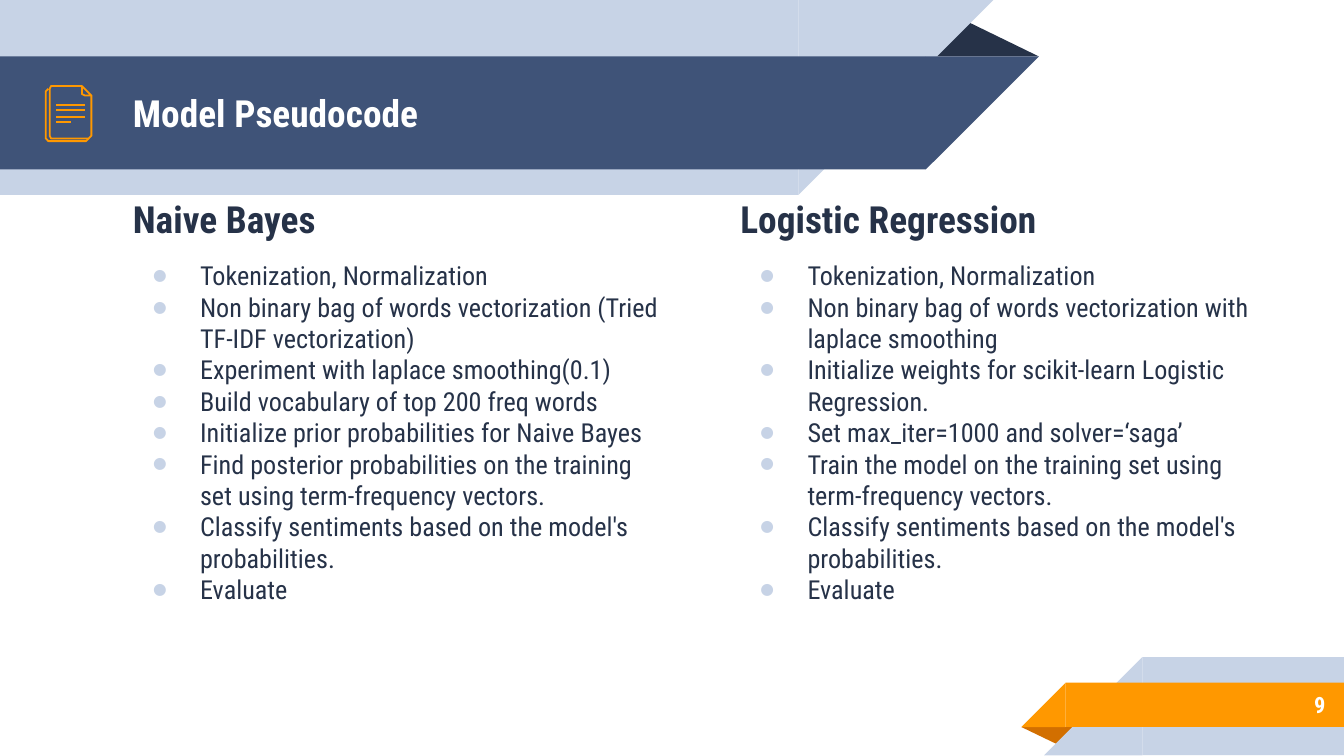
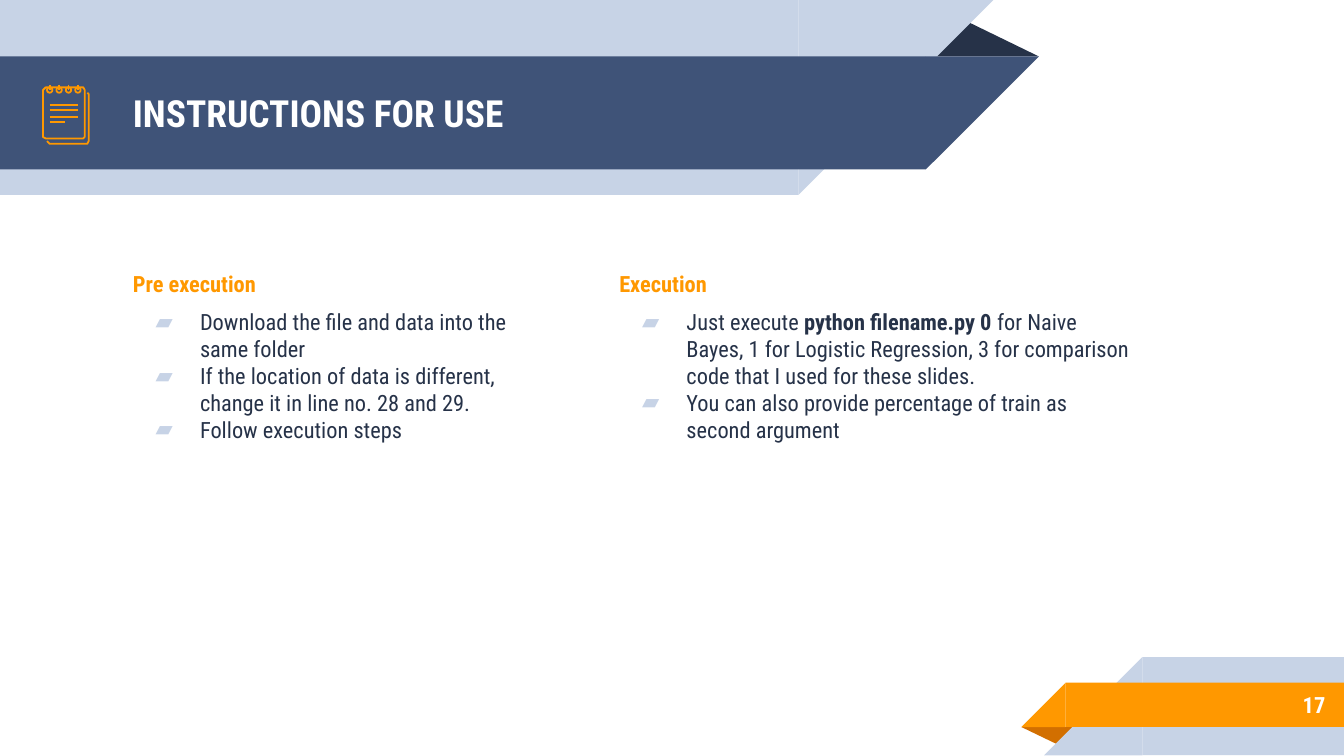
"""Build the pseudocode and instructions slides."""
import pptx
import pptx.dml.color
import pptx.enum.shapes
import pptx.enum.text
import pptx.oxml.ns
import pptx.util
import lxml.etree

Inches = pptx.util.Inches
RGBColor = pptx.dml.color.RGBColor
SHAPE = pptx.enum.shapes.MSO_SHAPE
ANCHOR = pptx.enum.text.MSO_ANCHOR

NAVY = RGBColor(0x26, 0x32, 0x48)
BLUE = RGBColor(0x3F, 0x53, 0x78)
PALE = RGBColor(0xC7, 0xD3, 0xE6)
ORANGE = RGBColor(0xFF, 0x98, 0x00)
RUST = RGBColor(0xD2, 0x6F, 0x00)
WHITE = RGBColor(0xFF, 0xFF, 0xFF)
FONT = "Roboto Condensed"

BANDS = [
    (SHAPE.ISOSCELES_TRIANGLE, (6.88, 0.14, 0.85, 0.28), NAVY, 0, False),
    (SHAPE.RECTANGLE, (0, 0, 5.94, 1.45), PALE, 0, False),
    (SHAPE.RIGHT_TRIANGLE, (5.94, 0, 1.45, 1.45), PALE, 180, True),
    (SHAPE.RECTANGLE, (0, 0.42, 6.89, 0.84), BLUE, 0, False),
    (SHAPE.RIGHT_TRIANGLE, (6.89, 0.42, 0.84, 0.84), BLUE, 180, True),
    (SHAPE.ISOSCELES_TRIANGLE, (7.6, 5.41, 0.43, 0.14), RUST, 180, False),
    (SHAPE.RECTANGLE, (8.5, 4.89, 1.5, 0.73), PALE, 0, False),
    (SHAPE.RIGHT_TRIANGLE, (7.77, 4.89, 0.73, 0.73), PALE, 0, True),
    (SHAPE.RECTANGLE, (7.93, 5.08, 2.07, 0.33), ORANGE, 0, False),
    (SHAPE.RIGHT_TRIANGLE, (7.6, 5.08, 0.33, 0.33), ORANGE, 0, True),
]

SLIDES = [
    {
        "title": "Model Pseudocode",
        "number": "9",
        "body": {"top_margin": 0, "heading_size": 20, "heading_color": NAVY, "size": 14,
                 "gap": 10, "bullet": "●", "bullet_scale": 60, "indent": 0.35},
        "columns": [
            ((0.89, 1.46, 4.18, 3.18), "Naive Bayes", [
                "Tokenization, Normalization",
                "Non binary bag of words vectorization (Tried TF-IDF vectorization)",
                "Experiment with laplace smoothing(0.1)",
                "Build vocabulary of top 200 freq words",
                "Initialize prior probabilities for Naive Bayes",
                "Find posterior probabilities on the training set using term-frequency vectors.",
                "Classify sentiments based on the model's probabilities.",
                "Evaluate",
            ]),
            ((5.41, 1.46, 4.15, 2.84), "Logistic Regression", [
                "Tokenization, Normalization",
                "Non binary bag of words vectorization with laplace smoothing",
                "Initialize weights for scikit-learn Logistic Regression.",
                "Set max_iter=1000 and solver=‘saga’",
                "Train the model on the training set using term-frequency vectors.",
                "Classify sentiments based on the model's probabilities.",
                "Evaluate",
            ]),
        ],
        "sheets": [
            ([(0.66, 1.03), (0.64, 1.05), (0.36, 1.05), (0.34, 1.03), (0.34, 0.68),
              (0.36, 0.66)], False),
            ([(0.68, 0.71), (0.68, 1.01), (0.66, 1.03), (0.38, 1.03), (0.37, 1.01),
              (0.37, 0.66), (0.38, 0.64), (0.61, 0.64)], False),
            ([(0.61, 0.64), (0.68, 0.71), (0.63, 0.71), (0.61, 0.7)], True),
        ],
        "writing_left": 0.42,
        "rings": [],
    },
    {
        "title": "INSTRUCTIONS FOR USE",
        "number": "17",
        "body": {"top_margin": 0.1, "heading_size": 12, "heading_color": ORANGE, "size": 12,
                 "gap": 6, "bullet": "▰", "bullet_scale": 100, "indent": 0.33},
        "columns": [
            ((0.89, 1.91, 3.37, 1.92), "Pre execution", [
                "Download the file and data into the same folder",
                "If the location of data is different, change it in line no. 28 and 29.",
                "Follow execution steps",
            ]),
            ((4.51, 1.91, 4, 1.92), "Execution", [
                "Just execute **python filename.py 0** for Naive Bayes, 1 for Logistic "
                "Regression, 3 for comparison code that I used for these slides.",
                "You can also provide percentage of train as second argument",
            ]),
        ],
        "sheets": [
            ([(0.35, 1.05), (0.37, 1.07), (0.65, 1.07), (0.66, 1.05), (0.66, 0.7),
              (0.65, 0.69)], False),
            ([(0.34, 0.65), (0.62, 0.65), (0.63, 0.67), (0.63, 1.02), (0.62, 1.03),
              (0.34, 1.03), (0.32, 1.02), (0.32, 0.67)], True),
        ],
        "writing_left": 0.37,
        "rings": [0.37 + 0.07 * index for index in range(4)],
    },
]


def add_text_frame(slide, box, top_margin=0.1, anchor=ANCHOR.TOP):
    frame = slide.shapes.add_textbox(*map(Inches, box)).text_frame
    values = {"word_wrap": True, "vertical_anchor": anchor, "margin_left": Inches(0.1),
              "margin_right": Inches(0.1), "margin_top": Inches(top_margin),
              "margin_bottom": Inches(0.1)}
    for name, value in values.items():
        setattr(frame, name, value)
    return frame


def add_run(paragraph, text, size, color, bold=True):
    run = paragraph.add_run()
    run.text = text
    for name, value in {"name": FONT, "size": pptx.util.Pt(size), "bold": bold}.items():
        setattr(run.font, name, value)
    run.font.color.rgb = color


presentation = pptx.Presentation()
presentation.slide_width = Inches(10)
presentation.slide_height = Inches(10 * 9 / 16)

for content in SLIDES:
    slide = presentation.slides.add_slide(presentation.slide_layouts[6])

    for kind, box, color, rotation, flipped in BANDS:
        shape = slide.shapes.add_shape(kind, *map(Inches, box))
        shape.fill.solid()
        shape.fill.fore_color.rgb = color
        shape.line.fill.background()
        shape.shadow.inherit = False
        shape.rotation = rotation
        if flipped:
            shape._element.spPr.xfrm.set("flipH", "1")
        if kind == SHAPE.ISOSCELES_TRIANGLE:
            shape.adjustments[0] = 0.324

    title = add_text_frame(slide, (0.89, 0.42, 5.75, 0.84), anchor=ANCHOR.MIDDLE)
    add_run(title.paragraphs[0], content["title"], 20, WHITE)
    number = add_text_frame(slide, (8.33, 5.07, 1.63, 0.35), anchor=ANCHOR.MIDDLE)
    number.paragraphs[0].alignment = pptx.enum.text.PP_ALIGN.RIGHT
    add_run(number.paragraphs[0], content["number"], 12, WHITE)

    body = content["body"]
    for box, heading, items in content["columns"]:
        frame = add_text_frame(slide, box, body["top_margin"])
        frame.paragraphs[0].space_before = pptx.util.Pt(6)
        add_run(frame.paragraphs[0], heading, body["heading_size"], body["heading_color"])
        for index, item in enumerate(items):
            paragraph = frame.add_paragraph()
            paragraph.space_before = pptx.util.Pt(0 if index else body["gap"])
            properties = paragraph._p.get_or_add_pPr()
            properties.set("marL", str(Inches(0.5)))
            properties.set("indent", str(-Inches(body["indent"])))
            bullet_color = lxml.etree.SubElement(properties, pptx.oxml.ns.qn("a:buClr"))
            lxml.etree.SubElement(bullet_color, pptx.oxml.ns.qn("a:srgbClr"), val=str(PALE))
            lxml.etree.SubElement(properties, pptx.oxml.ns.qn("a:buSzPct"),
                                  val=str(body["bullet_scale"] * 1000))
            lxml.etree.SubElement(properties, pptx.oxml.ns.qn("a:buFont"), typeface=FONT)
            lxml.etree.SubElement(properties, pptx.oxml.ns.qn("a:buChar"), char=body["bullet"])
            for part, text in enumerate(item.split("**")):
                add_run(paragraph, text, body["size"], NAVY, part % 2 == 1)

    icon = []
    for points, closed in content["sheets"]:
        corners = [(Inches(x), Inches(y)) for x, y in points]
        builder = slide.shapes.build_freeform(*corners[0])
        builder.add_line_segments(corners[1:], close=closed)
        icon.append(builder.convert_to_shape())
    for x in content["rings"]:
        icon.append(slide.shapes.add_shape(
            SHAPE.OVAL, *map(Inches, (x - 0.02, 0.65, 0.04, 0.04))))
    for shape in icon:
        shape.fill.background()

    left = content["writing_left"]
    strokes = [(left, y, left + width, y)
               for y, width in ((0.78, 0.21), (0.82, 0.21), (0.87, 0.21), (0.91, 0.11))]
    strokes += [(x, 0.63, x, 0.67) for x in content["rings"]]
    for stroke in strokes:
        icon.append(slide.shapes.add_connector(
            pptx.enum.shapes.MSO_CONNECTOR.STRAIGHT, *map(Inches, stroke)))
    for shape in icon:
        shape.line.color.rgb = ORANGE
        shape.line.width = pptx.util.Pt(0.96)
        lxml.etree.SubElement(shape._element.spPr, pptx.oxml.ns.qn("a:effectLst"))

presentation.save("out.pptx")
